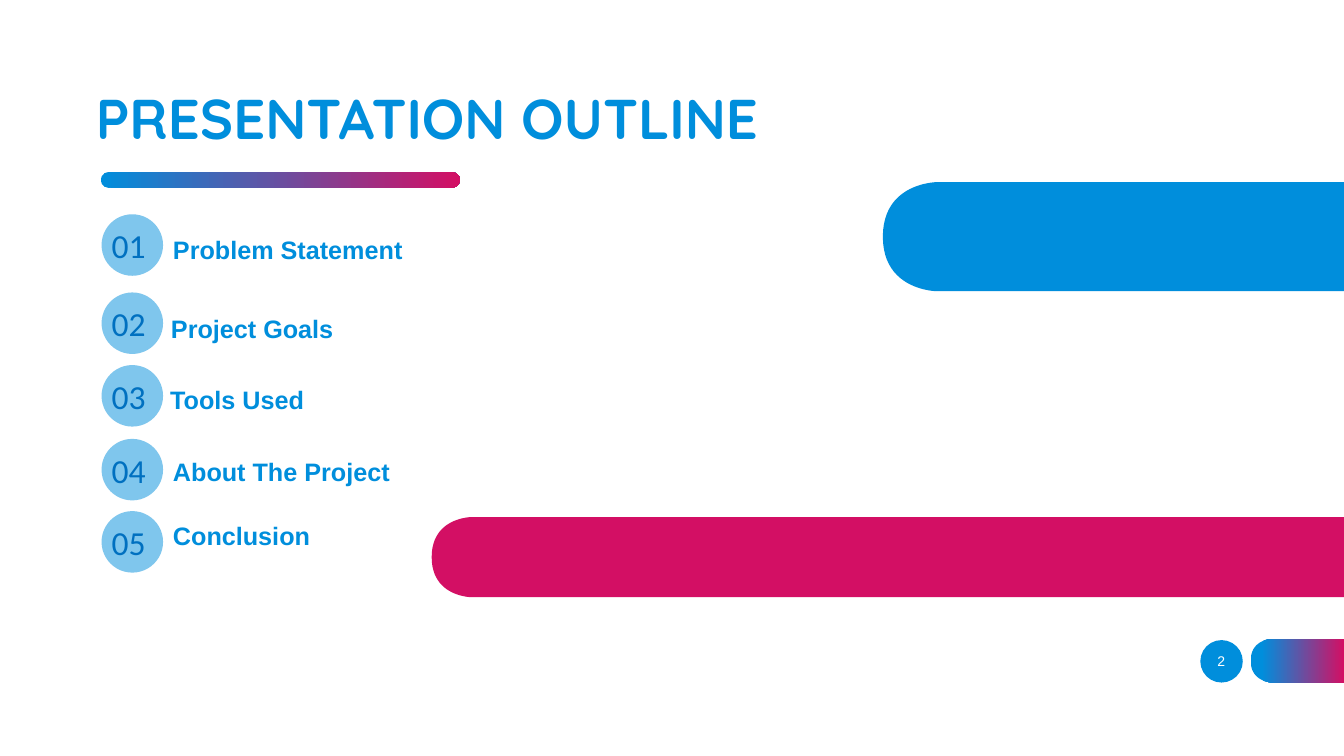
from dataclasses import dataclass

from pptx import Presentation
from pptx.dml.color import RGBColor
from pptx.enum.shapes import MSO_SHAPE
from pptx.enum.text import MSO_ANCHOR, MSO_AUTO_SIZE, PP_ALIGN
from pptx.util import Cm, Pt

OVAL, ROUNDED = MSO_SHAPE.OVAL, MSO_SHAPE.ROUNDED_RECTANGLE
TOP, MIDDLE, BOTTOM = MSO_ANCHOR.TOP, MSO_ANCHOR.MIDDLE, MSO_ANCHOR.BOTTOM
LEFT, CENTER = PP_ALIGN.LEFT, PP_ALIGN.CENTER
NO_AUTOFIT = MSO_AUTO_SIZE.NONE

SLIDE_WIDTH, SLIDE_HEIGHT = 33.87, 19.05
CURVE_STEPS = 24


@dataclass(frozen=True)
class Theme:
    blue: str = "008EDC"
    pink: str = "D30F64"
    pale_blue: str = "7FC6ED"
    number_blue: str = "0070C0"
    white: str = "FFFFFF"
    title_font: str = "Quicksand"
    body_font: str = "Arial"
    number_font: str = "Calibri"
    title_size: int = 40
    number_size: int = 24
    label_size: int = 18
    page_size: int = 10


class OutlinePage:
    def __init__(self, page, theme):
        self.page = page
        self.theme = theme

    def solid(self, fill, color):
        fill.solid()
        fill.fore_color.rgb = RGBColor.from_string(color)

    def gradient(self, fill, start=0.0):
        fill.gradient()
        fill.gradient_angle = 0
        stops = ((start, self.theme.blue), (1.0, self.theme.pink))
        for stop, (position, color) in zip(fill.gradient_stops, stops):
            stop.position = position
            stop.color.rgb = RGBColor.from_string(color)

    def paint(self, shape, color=None, start=0.0):
        """Fill with one colour, or with the blue-to-pink gradient if none is given."""
        shape.shadow.inherit = False
        shape.line.fill.background()
        if color:
            self.solid(shape.fill, color)
        else:
            self.gradient(shape.fill, start)

    def set_text(self, shape, text, font, size, color=None, bold=False,
                 align=LEFT, anchor=TOP, spacing=1.0):
        frame = shape.text_frame
        frame.text = text
        frame.word_wrap = True
        frame.auto_size = NO_AUTOFIT
        frame.vertical_anchor = anchor
        para = frame.paragraphs[0]
        para.alignment = align
        para.line_spacing = spacing
        para.space_before = Pt(0)
        span = para.runs[0].font
        span.name, span.size, span.bold = font, Pt(size), bold
        if color:
            self.solid(span.fill, color)
        else:
            self.gradient(span.fill)

    def title(self, text, left, top, width, height):
        box = self.page.shapes.title
        box.left, box.top, box.width, box.height = map(Cm, (left, top, width, height))
        self.set_text(box, text, self.theme.title_font, self.theme.title_size,
                      bold=True, anchor=BOTTOM, spacing=0.9)

    def shape(self, kind, left, top, width, height, color=None):
        shape = self.page.shapes.add_shape(kind, *map(Cm, (left, top, width, height)))
        self.paint(shape, color)
        return shape

    def band(self, left, top, height, color=None, start=0.0):
        """Bar with a rounded left end that runs to the right edge of the slide."""
        radius = height / 2
        corner = []
        for step in range(CURVE_STEPS + 1):
            t = step / CURVE_STEPS
            along = radius * (1 - t) ** 2 * (1 + 2 * t)
            corner.append((left + along, top + radius * t ** 3))
        mirrored = [(x, 2 * top + height - y) for x, y in reversed(corner)]
        points = corner + mirrored + [(SLIDE_WIDTH, top + height)]
        builder = self.page.shapes.build_freeform(Cm(SLIDE_WIDTH), Cm(top))
        builder.add_line_segments([(Cm(x), Cm(y)) for x, y in points], close=True)
        self.paint(builder.convert_to_shape(), color, start)

    def label(self, text, left, top):
        box = self.page.shapes.add_textbox(Cm(left), Cm(top), Cm(19), Cm(1.37))
        self.set_text(box, text, self.theme.body_font, self.theme.label_size,
                      self.theme.blue, bold=True, spacing=0.9)

    def number(self, text, top):
        circle = self.shape(OVAL, 2.56, top, 1.55, 1.55, self.theme.pale_blue)
        frame = circle.text_frame
        frame.margin_left = Cm(0.03)
        frame.margin_right = frame.margin_top = frame.margin_bottom = 0
        self.set_text(circle, text, self.theme.number_font, self.theme.number_size,
                      self.theme.number_blue, anchor=MIDDLE)

    def page_number(self, text):
        self.shape(OVAL, 30.25, 16.13, 1.07, 1.07, self.theme.blue)
        box = self.page.shapes.add_textbox(Cm(30.02), Cm(16.15), Cm(1.52), Cm(1.02))
        self.set_text(box, text, self.theme.body_font, self.theme.page_size,
                      self.theme.white, align=CENTER, anchor=MIDDLE)


def main():
    deck = Presentation()
    deck.slide_width, deck.slide_height = Cm(SLIDE_WIDTH), Cm(SLIDE_HEIGHT)
    theme = Theme()
    outline = OutlinePage(deck.slides.add_slide(deck.slide_layouts[5]), theme)

    # Decorative bands
    outline.band(31.52, 16.1, 1.1, start=0.12)
    outline.band(22.25, 4.59, 2.75, theme.blue)
    outline.band(10.88, 13.03, 2.02, theme.pink)

    # Title and its underline
    outline.title("PRESENTATION OUTLINE", 2.16, 2.13, 25.4, 1.83)
    underline = outline.shape(ROUNDED, 2.54, 4.34, 9.05, 0.39)
    underline.adjustments[0] = 0.5

    # Numbered topics: text, circle top, label left, label top
    topics = [
        ("Problem Statement", 5.4, 4.11, 5.87),
        ("Project Goals", 7.37, 4.06, 7.85),
        ("Tools Used", 9.2, 4.04, 9.65),
        ("About The Project", 11.06, 4.11, 11.46),
        ("Conclusion", 12.88, 4.11, 13.08),
    ]
    for index, (topic, circle_top, label_left, label_top) in enumerate(topics, 1):
        outline.label(topic, label_left, label_top)
        outline.number(f"{index:02d}", circle_top)

    # Page number
    outline.page_number("2")

    deck.save("out.pptx")


if __name__ == "__main__":
    main()
